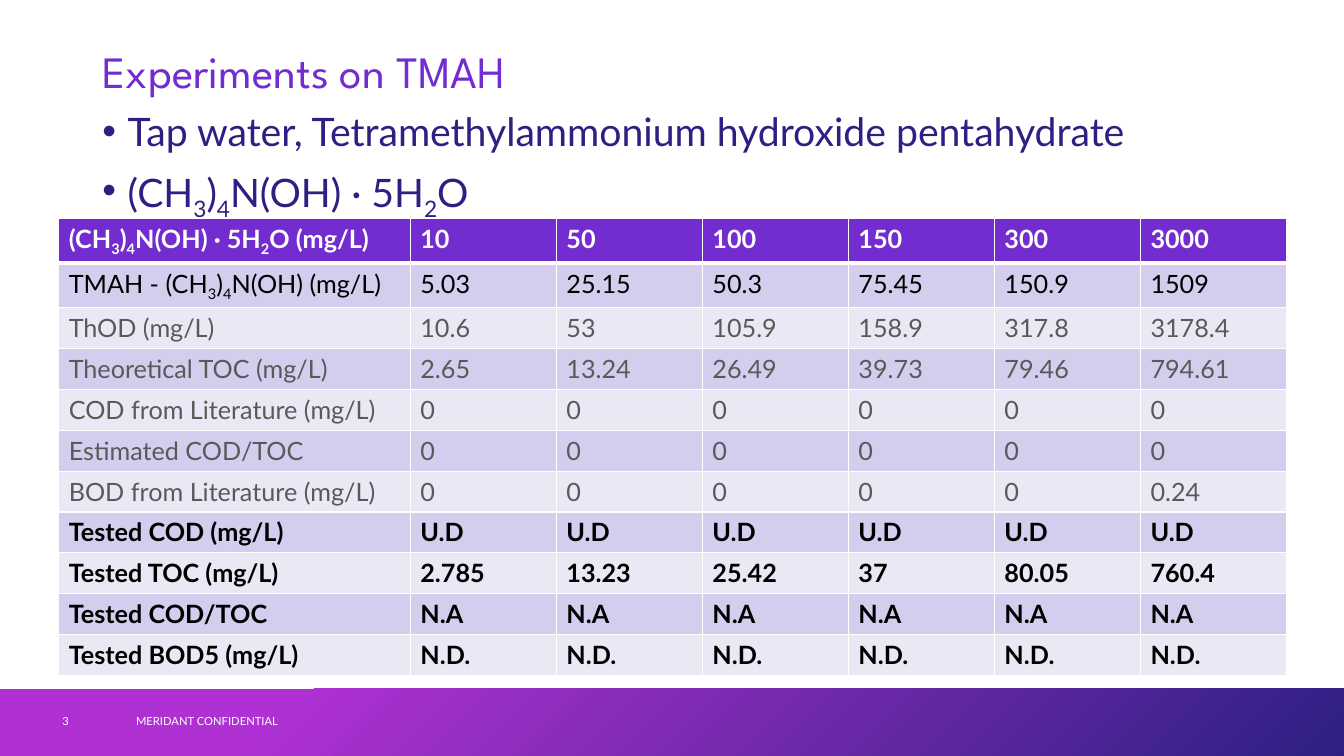
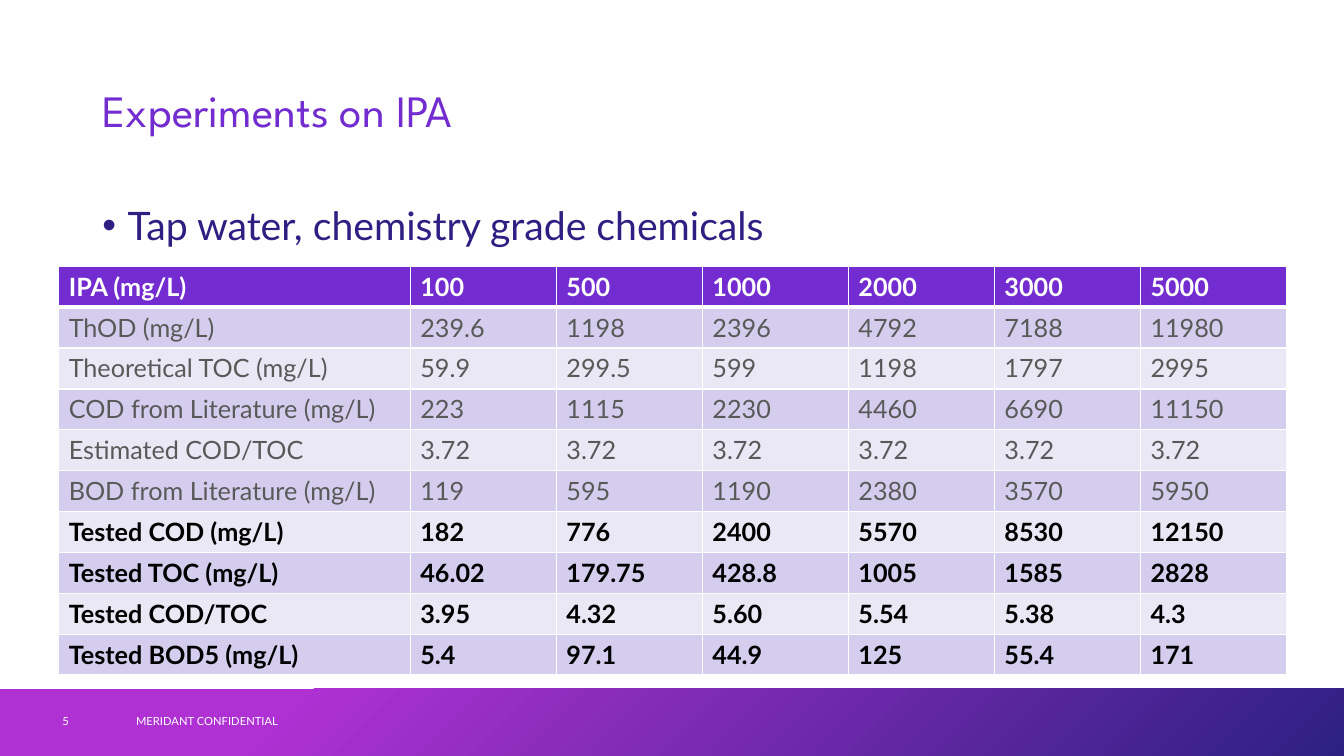
from dataclasses import dataclass

from lxml.etree import SubElement
from pptx import Presentation
from pptx.dml.color import RGBColor
from pptx.enum.shapes import MSO_SHAPE
from pptx.enum.text import MSO_ANCHOR
from pptx.oxml.ns import qn
from pptx.util import Cm, Pt


@dataclass(frozen=True)
class Theme:
    purple: str = "722CCF"
    navy: str = "2D2082"
    magenta: str = "AF31D3"
    white: str = "FFFFFF"
    black: str = "000000"
    grey: str = "595959"
    bands: tuple = ("EBE8F6", "D5CDED")
    title_font: str = "League Spartan"
    body_font: str = "Lato"
    title_size: int = 32
    body_size: int = 28
    table_size: int = 18
    footer_size: int = 8
    border: int = 1
    header_border: int = 3


@dataclass(frozen=True)
class Box:
    """A region of the page, in centimetres."""
    left: float
    top: float
    width: float
    height: float

    def lengths(self):
        return Cm(self.left), Cm(self.top), Cm(self.width), Cm(self.height)


THEME = Theme()
PAGE = Box(0, 0, 33.87, 19.05)
BAND = Box(0, 17.36, PAGE.width, 1.69)
CONTENT_LEFT, CONTENT_WIDTH, CONTENT_BOTTOM = 2.33, 29.21, 17.15
TITLE_TOP = 1.01
TABLE_LEFT, LABEL_WIDTH, VALUE_WIDTH, ROW_HEIGHT = 1.48, 8.86, 3.68, 1.03
FOOTER = "MERIDANT CONFIDENTIAL"


def rgb(value):
    return RGBColor.from_string(value)


def add_text(para, text, *, size, color, font=THEME.body_font, bold=False):
    """Write text as runs; the character after each underscore is a subscript."""
    first, *rest = text.split("_")
    pieces = [(first, False)]
    for part in rest:
        pieces += [(part[0], True), (part[1:], False)]
    for piece, is_subscript in pieces:
        if not piece:
            continue
        span = para.add_run()
        span.text = piece
        span.font.name = font
        span.font.size = Pt(size)
        span.font.bold = bold
        span.font.color.rgb = rgb(color)
        if is_subscript:
            span._r.get_or_add_rPr().set("baseline", "-25000")


def add_frame(page, box, anchor=MSO_ANCHOR.MIDDLE):
    frame = page.shapes.add_textbox(*box.lengths()).text_frame
    frame.word_wrap = True
    frame.vertical_anchor = anchor
    return frame


def add_band(page, box, number):
    band = page.shapes.add_shape(MSO_SHAPE.RECTANGLE, *box.lengths())
    band.shadow.inherit = False
    band.line.fill.background()
    band.fill.gradient()
    band.fill.gradient_angle = 315
    stops = ((0.21, THEME.magenta), (1, THEME.navy))
    for stop, (position, color) in zip(band.fill.gradient_stops, stops):
        stop.position = position
        stop.color.rgb = rgb(color)
    for text, left, width in ((FOOTER, 3.18, 11.43), (str(number), 1.32, 1.83)):
        frame = add_frame(page, Box(box.left + left, box.top + 0.29, width, 1.02))
        add_text(frame.paragraphs[0], text, size=THEME.footer_size, color=THEME.white)


def add_title(page, box, text):
    para = add_frame(page, box).paragraphs[0]
    para.line_spacing = 0.9
    add_text(para, text, size=THEME.title_size, color=THEME.purple, font=THEME.title_font)


def add_bullets(page, box, lines):
    frame = add_frame(page, box, MSO_ANCHOR.TOP)
    for index, line in enumerate(lines):
        para = frame.add_paragraph() if index else frame.paragraphs[0]
        para.line_spacing = 0.9
        para.space_before = Pt(10 if index else 0)
        props = para._p.get_or_add_pPr()
        props.set("marL", str(Cm(0.64)))
        props.set("indent", str(-Cm(0.64)))
        color = SubElement(props, qn("a:buClr"))
        SubElement(color, qn("a:srgbClr"), val=THEME.navy)
        SubElement(props, qn("a:buFont"), typeface="Arial")
        SubElement(props, qn("a:buChar"), char="•")
        add_text(para, line, size=THEME.body_size, color=THEME.navy)


def set_borders(cell, top, bottom):
    """Draw white borders; this must come before the cell's fill."""
    props = cell._tc.get_or_add_tcPr()
    widths = {"L": THEME.border, "R": THEME.border, "T": top, "B": bottom}
    for side, width in widths.items():
        line = SubElement(props, qn(f"a:ln{side}"), w=str(Pt(width)))
        fill = SubElement(line, qn("a:solidFill"))
        SubElement(fill, qn("a:srgbClr"), val=THEME.white)


def row_format(index, label):
    if index == 0:
        return {"color": THEME.white, "bold": True}
    if label.startswith("Tested"):
        return {"color": THEME.black, "bold": True}
    return {"color": THEME.black if label.startswith("TMAH") else THEME.grey}


def add_results(page, left, top, rows):
    """Add the table; each row is a label and its values parted by spaces."""
    records = [(label, *values.split()) for label, values in rows]
    widths = [LABEL_WIDTH] + [VALUE_WIDTH] * (len(records[0]) - 1)
    box = Box(left, top, sum(widths), ROW_HEIGHT * len(records))
    table = page.shapes.add_table(len(records), len(widths), *box.lengths()).table
    table.horz_banding = False
    for column, width in zip(table.columns, widths):
        column.width = Cm(width)
    for index, record in enumerate(records):
        table.rows[index].height = Cm(ROW_HEIGHT)
        style = row_format(index, record[0])
        fill = THEME.bands[index % 2] if index else THEME.purple
        above = THEME.header_border if index == 1 else THEME.border
        below = THEME.header_border if index == 0 else THEME.border
        for cell, text in zip(table.rows[index].cells, record):
            set_borders(cell, above, below)
            cell.fill.solid()
            cell.fill.fore_color.rgb = rgb(fill)
            add_text(cell.text_frame.paragraphs[0], text, size=THEME.table_size, **style)


def add_experiment(deck, *, number, title, title_height, bullets, bullets_top, table_top, rows):
    page = deck.slides.add_slide(deck.slide_layouts[6])
    add_band(page, BAND, number)
    add_title(page, Box(CONTENT_LEFT, TITLE_TOP, CONTENT_WIDTH, title_height), title)
    bullets_height = CONTENT_BOTTOM - bullets_top
    add_bullets(page, Box(CONTENT_LEFT, bullets_top, CONTENT_WIDTH, bullets_height), bullets)
    add_results(page, TABLE_LEFT, table_top, rows)


TMAH_ROWS = (
    ("(CH_3)_4N(OH) · 5H_2O (mg/L)", "10 50 100 150 300 3000"),
    ("TMAH - (CH_3)_4N(OH) (mg/L)", "5.03 25.15 50.3 75.45 150.9 1509"),
    ("ThOD (mg/L)", "10.6 53 105.9 158.9 317.8 3178.4"),
    ("Theoretical TOC (mg/L)", "2.65 13.24 26.49 39.73 79.46 794.61"),
    ("COD from Literature (mg/L)", "0 0 0 0 0 0"),
    ("Estimated COD/TOC", "0 0 0 0 0 0"),
    ("BOD from Literature (mg/L)", "0 0 0 0 0 0.24"),
    ("Tested COD (mg/L)", "U.D U.D U.D U.D U.D U.D"),
    ("Tested TOC (mg/L)", "2.785 13.23 25.42 37 80.05 760.4"),
    ("Tested COD/TOC", "N.A N.A N.A N.A N.A N.A"),
    ("Tested BOD5 (mg/L)", "N.D. N.D. N.D. N.D. N.D. N.D."),
)
IPA_ROWS = (
    ("IPA (mg/L)", "100 500 1000 2000 3000 5000"),
    ("ThOD (mg/L)", "239.6 1198 2396 4792 7188 11980"),
    ("Theoretical TOC (mg/L)", "59.9 299.5 599 1198 1797 2995"),
    ("COD from Literature (mg/L)", "223 1115 2230 4460 6690 11150"),
    ("Estimated COD/TOC", "3.72 3.72 3.72 3.72 3.72 3.72"),
    ("BOD from Literature (mg/L)", "119 595 1190 2380 3570 5950"),
    ("Tested COD (mg/L)", "182 776 2400 5570 8530 12150"),
    ("Tested TOC (mg/L)", "46.02 179.75 428.8 1005 1585 2828"),
    ("Tested COD/TOC", "3.95 4.32 5.60 5.54 5.38 4.3"),
    ("Tested BOD5 (mg/L)", "5.4 97.1 44.9 125 55.4 171"),
)


def main():
    deck = Presentation()
    deck.slide_width, deck.slide_height = Cm(PAGE.width), Cm(PAGE.height)
    add_experiment(
        deck, number=3, title="Experiments on TMAH", title_height=1.7,
        bullets=("Tap water, Tetramethylammonium hydroxide pentahydrate",
                 "(CH_3)_4N(OH) · 5H_2O"),
        bullets_top=2.71, table_top=5.51, rows=TMAH_ROWS)
    add_experiment(
        deck, number=5, title="Experiments on IPA", title_height=3.68,
        bullets=("Tap water, chemistry grade chemicals",),
        bullets_top=5.08, table_top=6.71, rows=IPA_ROWS)
    deck.save("out.pptx")


if __name__ == "__main__":
    main()
